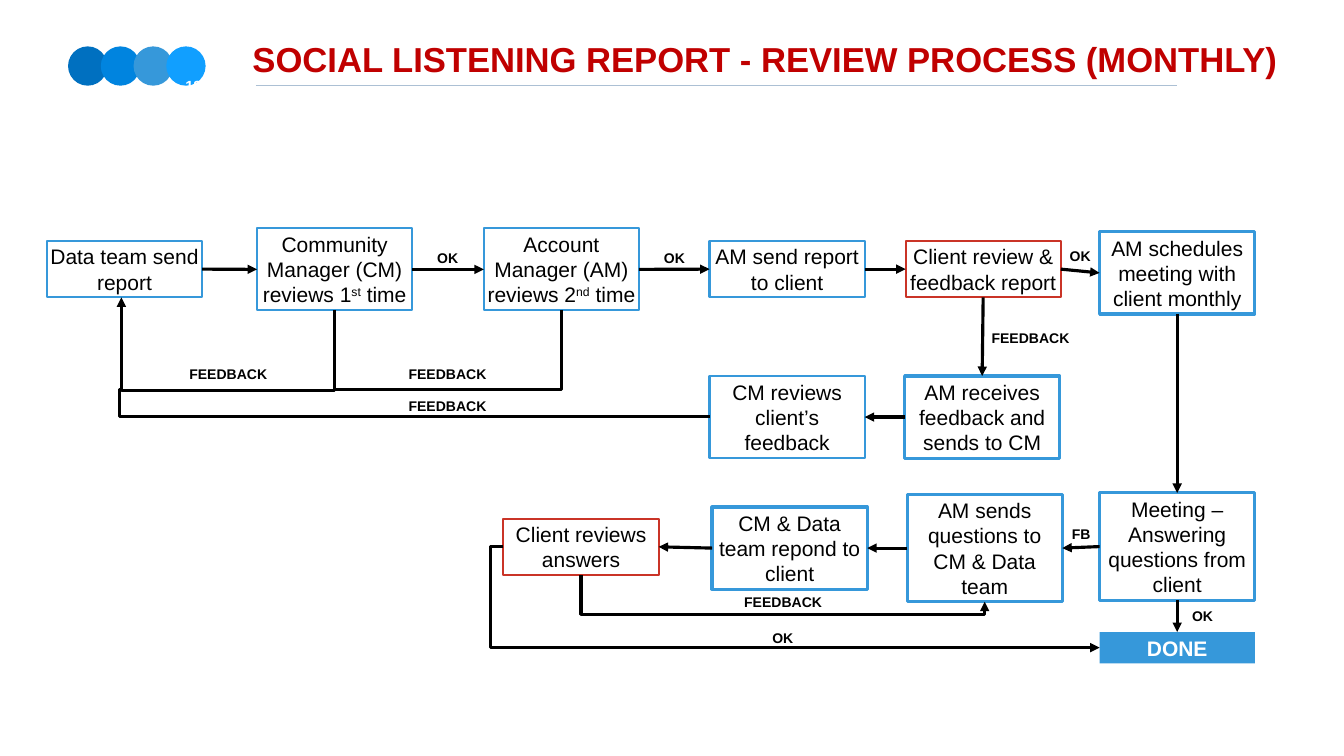
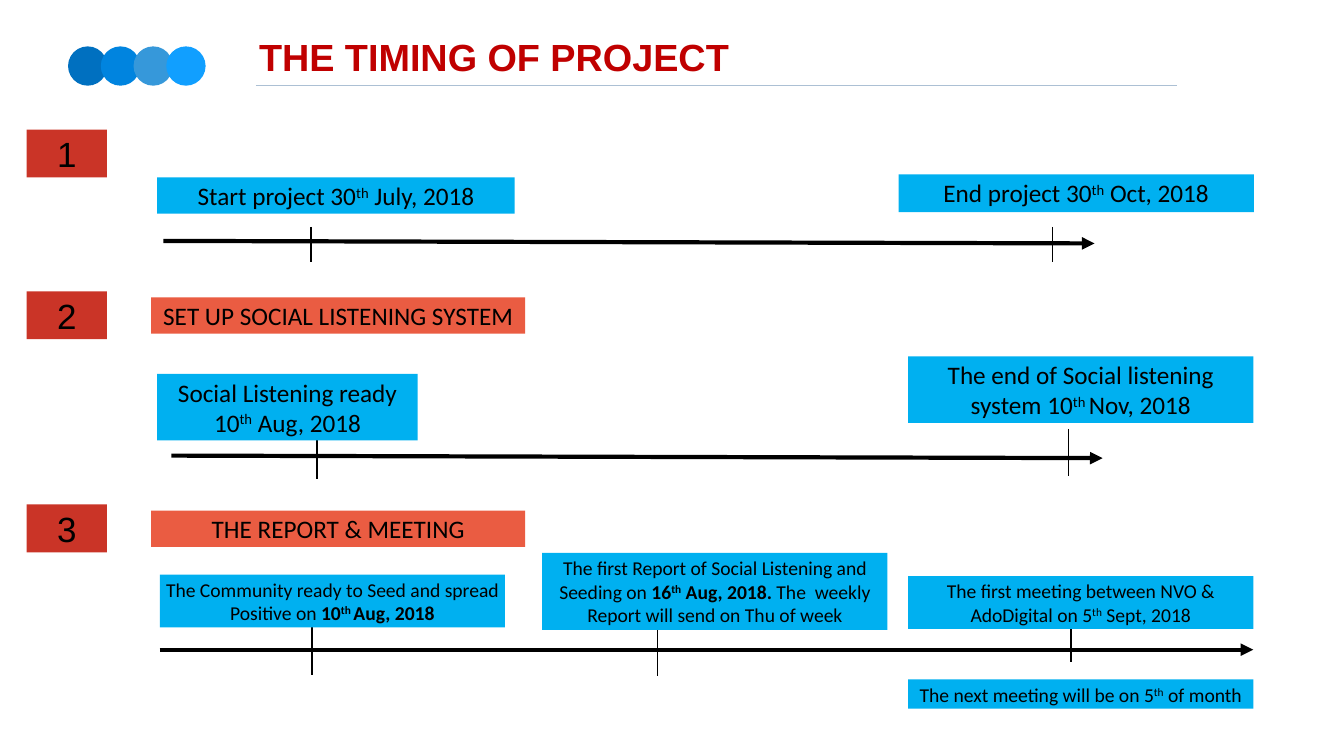
from collections import namedtuple
from dataclasses import dataclass

from lxml.etree import SubElement as Sub
from pptx import Presentation
from pptx.dml.color import RGBColor as RGB
from pptx.enum.shapes import MSO_CONNECTOR as Link, MSO_SHAPE as Form
from pptx.enum.text import MSO_ANCHOR as Anchor, MSO_AUTO_SIZE as Auto, PP_ALIGN as Align
from pptx.oxml.ns import qn
from pptx.util import Inches, Pt

Box = namedtuple("Box", "x y w h")


@dataclass(frozen=True)
class Theme:
    black: str = "000000"
    white: str = "FFFFFF"
    title: str = "C00000"
    rule: str = "ACC0D4"
    blue: str = "3698DA"
    red: str = "CA3427"
    note: str = "00B0F0"
    head: str = "EA5C42"
    dots: tuple = ("0070C0", "0084DF", "3698DA", "119FFF")
    sans: str = "Arial"
    soft: str = "Calibri"
    page: float = 21
    step: float = 30
    label: float = 20
    number: float = 50
    large: float = 36
    small: float = 28
    thin: float = 2
    edge: float = 3
    thick: float = 4.5
    axis: float = 6


T = Theme()


def inch(*vals):
    return [Inches(v) for v in vals]


def move(box, x, y):
    """Shift a point given inside the box to the slide."""
    return box.x + x, box.y + y


def write(shape, text, size, color=T.black, font=T.sans, bold=False,
          align=Align.CENTER, anchor=Anchor.MIDDLE, wrap=True):
    """Fill a shape with text; *stars* mark bold, ^carets^ mark superscript."""
    frame = shape.text_frame
    pad = Inches(0.06)
    form = dict(margin_left=pad, margin_right=pad, margin_top=pad, margin_bottom=pad,
                auto_size=Auto.NONE, vertical_anchor=anchor, word_wrap=wrap)
    for key, val in form.items():
        setattr(frame, key, val)
    para = frame.paragraphs[0]
    para.alignment = align
    for i, part in enumerate(text.split("*")):
        for j, piece in enumerate(part.split("^")):
            if not piece:
                continue
            run = para.add_run()
            run.text = piece
            look = dict(name=font, size=Pt(size), bold=bold or i % 2 == 1)
            for key, val in look.items():
                setattr(run.font, key, val)
            run.font.color.rgb = RGB.from_string(color)
            if j % 2:
                run._r.get_or_add_rPr().set("baseline", "30000")


def block(slide, box, fill=None, edge=None, width=T.edge, form=Form.RECTANGLE):
    shape = slide.shapes.add_shape(form, *inch(*box))
    shape.shadow.inherit = False
    if fill:
        shape.fill.solid()
        shape.fill.fore_color.rgb = RGB.from_string(fill)
    else:
        shape.fill.background()
    if edge:
        shape.line.color.rgb = RGB.from_string(edge)
        shape.line.width = Pt(width)
    else:
        shape.line.fill.background()
    return shape


def label(slide, box, text, size=T.label, **look):
    shape = slide.shapes.add_textbox(*inch(*box))
    write(shape, text, size, bold=True, wrap=False, **look)


def draw(slide, start, end, width=T.thick, color=T.black, arrow=False, kind=Link.STRAIGHT):
    line = slide.shapes.add_connector(kind, *inch(*start, *end))
    line.line.color.rgb = RGB.from_string(color)
    line.line.width = Pt(width)
    props = line._element.spPr
    if arrow:
        Sub(props.find(qn("a:ln")), qn("a:tailEnd"), type="triangle")
    Sub(props, qn("a:effectLst"))
    return line


def join(slide, start, out, end, into):
    line = draw(slide, (0, 0), (1, 1), arrow=True)
    line.begin_connect(start, out)
    line.end_connect(end, into)


def bend(slide, start, end, turn=None, down=False, legs=3, arrow=True):
    """Elbow whose first leg runs to turn: a y if it starts down, else an x."""
    (ax, ay), (bx, by) = start, end
    dx, dy = bx - ax, by - ay
    if down:
        # The frame is turned a quarter about its middle.
        mx, my = (ax + bx) / 2, (ay + by) / 2
        start = mx - dy / 2, my + dx / 2
        end = mx + dy / 2, my - dx / 2
    line = draw(slide, start, end, arrow=arrow, kind=Link.ELBOW)
    props = line._element.spPr
    if down:
        props.find(qn("a:xfrm")).set("rot", "5400000")
    geom = props.find(qn("a:prstGeom"))
    geom.set("prst", f"bentConnector{legs}")
    ratios = []
    if turn is not None:
        ratios.append((turn - ay) / dy if down else (turn - ax) / dx)
    if legs == 4:
        ratios.append(1)
    for i, ratio in enumerate(ratios, 1):
        name = f"adj{i}" if legs == 4 else "adj1"
        Sub(geom.find(qn("a:avLst")), qn("a:gd"), name=name, fmla=f"val {round(ratio * 100000)}")


def header(slide, box, text, place, size):
    """Dots, rule and title; place is where the title sits in the box."""
    for i, color in enumerate(T.dots):
        block(slide, Box(box.x + 0.65 * i, box.y, 0.78, 0.78), color, form=Form.OVAL)
    draw(slide, move(box, 3.73, box.h), move(box, box.w, box.h), T.thin, T.rule)
    title = slide.shapes.title
    x, y, w, h = place
    spot = Box(*move(box, x, y), w, h)
    for key, val in zip(("left", "top", "width", "height"), inch(*spot)):
        setattr(title, key, val)
    write(title, text, size, T.title, bold=True, align=Align.LEFT, anchor=Anchor.TOP)


# name: left, top, height, edge colour, edge width, text
STEPS = {
    "data": (0, 0.25, 1.12, T.blue, T.edge, "Data team send report"),
    "first": (4.17, 0, 1.63, T.blue, T.edge, "Community Manager (CM) reviews 1^st^ time"),
    "second": (8.67, 0, 1.63, T.blue, T.edge, "Account Manager (AM) reviews 2^nd^ time"),
    "send": (13.15, 0.25, 1.12, T.blue, T.edge, "AM send report to client"),
    "client": (17.04, 0.25, 1.12, T.red, T.edge, "Client review & feedback report"),
    "plan": (20.89, 0.07, 1.63, T.blue, T.thick, "AM schedules meeting with client monthly"),
    "get": (17.02, 2.93, 1.63, T.blue, T.thick, "AM receives feedback and sends to CM"),
    "check": (13.15, 2.93, 1.63, T.blue, T.edge, "CM reviews client’s feedback"),
    "meet": (20.89, 5.25, 2.13, T.blue, T.thick, "Meeting – Answering questions from client"),
    "ask": (17.07, 5.28, 2.13, T.blue, T.thick, "AM sends questions to CM & Data team"),
    "reply": (13.2, 5.53, 1.63, T.blue, T.thick, "CM & Data team repond to client"),
    "answer": (9.06, 5.76, 1.12, T.red, T.edge, "Client reviews answers"),
}
TOP, LEFT, BOTTOM, RIGHT = range(4)
JOINS = [
    ("data", RIGHT, "first", LEFT), ("first", RIGHT, "second", LEFT),
    ("second", RIGHT, "send", LEFT), ("send", RIGHT, "client", LEFT),
    ("client", RIGHT, "plan", LEFT), ("client", BOTTOM, "get", TOP),
    ("get", LEFT, "check", RIGHT), ("plan", BOTTOM, "meet", TOP),
    ("meet", BOTTOM, "done", TOP), ("meet", LEFT, "ask", RIGHT),
    ("ask", LEFT, "reply", RIGHT), ("reply", LEFT, "answer", RIGHT),
]
# start, end, turn, starts down, legs, arrow
BENDS = [
    ((5.71, 1.62), (1.48, 1.37), 3.22, True, 4, True),
    ((10.21, 1.62), (5.71, 3.2), None, True, 2, False),
    ((13.16, 3.74), (1.5, 3.2), 1.44, False, 3, False),
    ((10.6, 6.88), (18.61, 7.41), 7.66, True, 3, True),
    ((9.06, 6.32), (20.89, 8.32), 8.81, False, 3, True),
]
WIDTHS = {"OK": 0.53, "FB": 0.49, "FEEDBACK": 1.68}
LABELS = {
    "OK": [(7.69, 0.36), (12.19, 0.36), (20.24, 0.32), (22.67, 7.47), (14.34, 7.91)],
    "FB": [(20.28, 5.83)],
    "FEEDBACK": [(18.68, 1.95), (2.76, 2.67), (7.11, 2.67), (7.11, 3.29), (13.77, 7.19)],
}


def flow(slide, box):
    wide = 3.08
    nodes = {}
    for name, (x, y, h, edge, width, text) in STEPS.items():
        nodes[name] = block(slide, Box(*move(box, x, y), wide, h), edge=edge, width=width)
        write(nodes[name], text, T.step)
    done = nodes["done"] = block(slide, Box(*move(box, 20.89, 8.01), wide, 0.62), T.blue)
    write(done, "DONE", T.step, T.white, bold=True)
    for start, out, end, into in JOINS:
        join(slide, nodes[start], out, nodes[end], into)
    for start, end, turn, down, legs, arrow in BENDS:
        if turn is not None:
            turn += box.y if down else box.x
        bend(slide, move(box, *start), move(box, *end), turn, down, legs, arrow)
    for text, spots in LABELS.items():
        for spot in spots:
            label(slide, Box(*move(box, *spot), WIDTHS[text], 0.45), text)


LANES = [
    dict(top=2.57, axis=((2.71, 2.21), (21.19, 2.26)), tick=0.7,
         ticks=[(5.64, 1.93), (20.36, 1.93)], size=T.large, notes=[
             (2.59, 0.95, 7.09, 0.72, "Start project 30^th^ July, 2018"),
             (17.3, 0.89, 7.05, 0.75, "End project 30^th^ Oct, 2018")]),
    dict(top=5.78, head="SET UP SOCIAL LISTENING SYSTEM",
         axis=((2.87, 3.26), (21.35, 3.31)), tick=0.94,
         ticks=[(5.76, 2.79), (20.67, 2.73)], size=T.large, notes=[
             (2.59, 1.64, 5.17, 1.32, "Social Listening ready 10^th^ Aug, 2018"),
             (17.49, 1.29, 6.85, 1.32, "The end of Social listening system 10^th ^Nov, 2018")]),
    dict(top=10.01, head="THE REPORT & MEETING",
         axis=((2.64, 2.88), (24.34, 2.88)), tick=0.94,
         ticks=[(5.66, 2.44), (12.52, 2.46), (20.72, 2.19)], size=T.small, notes=[
             (2.64, 1.39, 6.85, 1.05,
              "The Community ready to Seed and spread Positive on *10^th ^Aug, 2018*"),
             (10.23, 0.96, 6.85, 1.53,
              "The first Report of Social Listening and Seeding on *16^th^ Aug, 2018. *"
              "The  weekly Report will send on Thu of week"),
             (17.49, 1.42, 6.85, 1.05,
              "The first meeting between NVO & AdoDigital on 5^th^ Sept, 2018"),
             (17.49, 3.47, 6.85, 0.58, "The next meeting will be on 5^th^ of month")]),
]


def lane(slide, box, num, axis, tick, ticks, size, notes, head=None):
    """One numbered timeline with its ticks and notes."""
    badge = block(slide, Box(box.x, box.y, 1.59, 0.95), T.red)
    write(badge, str(num), T.number)
    start, end = axis
    draw(slide, move(box, *start), move(box, *end), T.axis, arrow=True)
    for x, y in ticks:
        draw(slide, move(box, x, y), move(box, x, y + tick), T.thin)
    tags = [(*note, T.note, size) for note in notes]
    if head:
        tags.append((2.47, 0.12, 7.42, 0.72, head, T.head, T.large))
    for x, y, w, h, text, fill, pts in tags:
        tag = block(slide, Box(*move(box, x, y), w, h), fill)
        write(tag, text, pts, font=T.soft, anchor=Anchor.TOP)


def main():
    deck = Presentation()
    deck.slide_width, deck.slide_height = inch(26.67, 15)
    plain = deck.slide_layouts[5]
    band = Box(1.35, 0.92, 22, 0.78)

    review = deck.slides.add_slide(plain)
    header(review, band, "SOCIAL LISTENING REPORT - REVIEW PROCESS (MONTHLY)",
           Box(3.6, -0.22, 21.17, 1.24), 49.5)
    label(review, Box(3.62, 1.47, 0.44, 0.47), "18", T.page, color=T.white, anchor=Anchor.TOP)
    flow(review, Box(0.93, 4.53, 23.97, 8.63))

    timing = deck.slides.add_slide(plain)
    header(timing, band, "THE TIMING OF PROJECT", Box(3.73, -0.31, 20.13, 1.24), 54)
    for num, data in enumerate(LANES, 1):
        parts = dict(data)
        lane(timing, Box(0.53, parts.pop("top"), 24.35, 4.05), num, **parts)
    deck.save("out.pptx")


if __name__ == "__main__":
    main()
